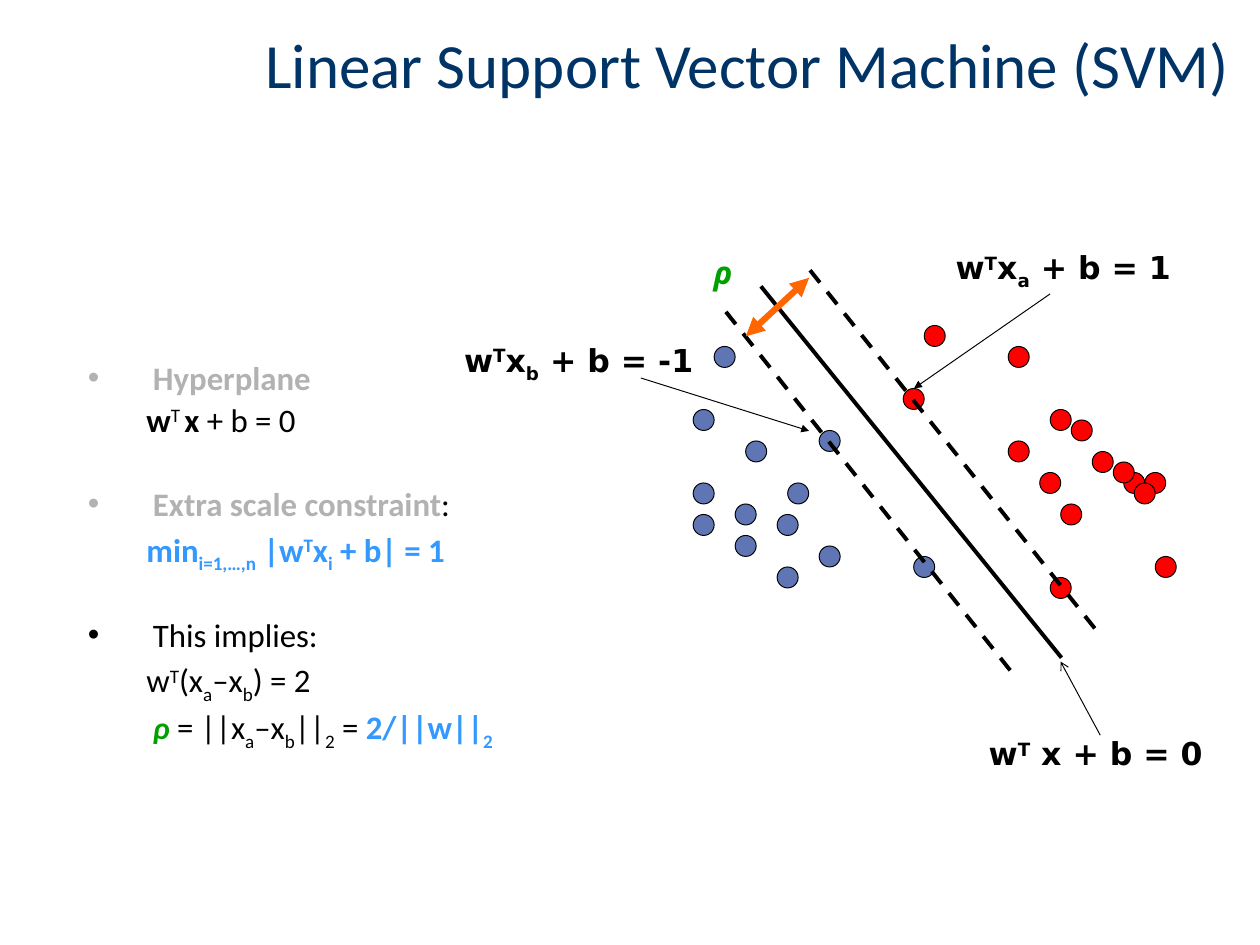
from pptx import Presentation
from pptx.dml.color import RGBColor
from pptx.enum import dml, shapes, text
from pptx.oxml.ns import qn
from pptx.util import Inches, Pt
from lxml import etree

NAVY = RGBColor(0x00, 0x33, 0x66)
GRAY = RGBColor(0xB2, 0xB2, 0xB2)
SKY = RGBColor(0x33, 0x99, 0xFF)
GREEN = RGBColor(0x00, 0xA0, 0x00)
BLUE = RGBColor(0x60, 0x76, 0xB4)
RED = RGBColor(0xFF, 0x00, 0x00)
ORANGE = RGBColor(0xFF, 0x66, 0x00)
BLACK = RGBColor(0, 0, 0)

# Font formats
HEAD = dict(name="Calibri", size=Pt(48), color=NAVY)
PLAIN = dict(name="Calibri", size=Pt(25), color=BLACK)
BOLD = dict(PLAIN, bold=True)
DIM = dict(BOLD, color=GRAY)
KEY = dict(BOLD, color=SKY)
RHO = dict(BOLD, size=Pt(24), italic=True, color=GREEN)
MATH = dict(name="DejaVu Sans", size=Pt(24), bold=True, color=BLACK)
MARK = dict(RHO, name="Noto Sans")

# Runs: a leading ^ raises the run, a leading _ lowers it
TITLE = "Linear Support Vector Machine (SVM)"
# Body lines: bullet, left indent, space before in points, groups of runs
BODY = [
    (True, 0.69, 0, [(DIM, ["Hyperplane"])]),
    (False, 0.62, 5, [(BOLD, ["w"]), (PLAIN, ["^T "]), (BOLD, ["x"]),
                      (PLAIN, [" + b = 0"])]),
    (True, 0.69, 37, [(DIM, ["Extra scale constraint"]), (PLAIN, [":"])]),
    (False, 0.62, 5, [(KEY, ["min", "_i=1,…,n", " |w", "^T", "x", "_i",
                             " + b| = 1"])]),
    (True, 0.69, 37, [(PLAIN, ["This implies:"])]),
    (False, 0.62, 5, [(PLAIN, ["w", "^T", "(x", "_a", "–x", "_b", ") = 2"])]),
    (False, 0.69, 5, [(RHO, ["ρ"]),
                      (PLAIN, [" = ||x", "_a", "–x", "_b", "||", "_2", " = "]),
                      (KEY, ["2/||w||", "_2"])]),
]
LABELS = [
    ((10.33, 7.78, 2.61, 0.47), MATH, ["w", "^T", " x + b = 0"]),
    ((9.98, 2.6, 2.65, 0.47), MATH, ["w", "^T", "x", "_a", " + b = 1"]),
    ((4.78, 3.58, 2.81, 0.47), MATH, ["w", "^T", "x", "_b", " + b = -1"]),
    ((7.42, 2.68, 0.68, 0.47), MARK, ["ρ"]),
]
# Data points, in grid steps
STEP = 1 / 9
DOTS = {
    BLUE: [(68, 33), (66, 46), (71, 42), (66, 49), (70, 51), (74, 49),
           (78, 52), (70, 48), (66, 39), (78, 41), (87, 53), (75, 46),
           (74, 54)],
    RED: [(88, 31), (96, 33), (100, 39), (86, 37), (104, 43), (107, 45),
          (101, 48), (109, 45), (110, 53), (100, 55), (96, 42), (102, 40),
          (99, 45), (106, 44), (108, 46)],
}
# Lines: from x, y, to x, y, colour, width, dashed, arrowheads
LINES = [
    (8.05, 3.03, 11.23, 6.96, BLACK, 3, False, {}),
    (7.68, 3.3, 10.74, 7.16, BLACK, 3, True, {}),
    (8.57, 2.86, 11.63, 6.71, BLACK, 3, True, {}),
    (11.11, 3.11, 9.67, 4.11, BLACK, 0.75, False, {"tailEnd": "triangle"}),
    (6.78, 4, 8.56, 4.56, BLACK, 0.75, False, {"tailEnd": "triangle"}),
    (7.89, 3.56, 8.56, 2.94, ORANGE, 4.75, False,
     {"headEnd": "triangle", "tailEnd": "triangle"}),
    (11.64, 7.78, 11.22, 7, BLACK, 0.75, False, {"tailEnd": "arrow"}),
]


def add_runs(para, style, parts):
    for part in parts:
        run = para.add_run()
        shift = {"^": "30000", "_": "-25000"}.get(part[0])
        run.text = part[1:] if shift else part
        for key, val in style.items():
            if key == "color":
                run.font.color.rgb = val
            else:
                setattr(run.font, key, val)
        if shift:
            run.font._element.set("baseline", shift)


def set_para(para, bullet, left):
    props = para._p.get_or_add_pPr()
    props.set("marL", str(Inches(left)))
    props.set("indent", str(-Inches(left) if bullet else 0))
    if bullet:
        etree.SubElement(props, qn("a:buFont")).set("typeface", "Arial")
        etree.SubElement(props, qn("a:buChar")).set("char", "•")


def add_line(slide, x1, y1, x2, y2, color, width, dashed, heads):
    line = slide.shapes.add_connector(
        shapes.MSO_CONNECTOR.STRAIGHT, *map(Inches, (x1, y1, x2, y2)))
    line.line.color.rgb = color
    line.line.width = Pt(width)
    if dashed:
        line.line.dash_style = dml.MSO_LINE.DASH
    for end, kind in heads.items():
        etree.SubElement(line.line._get_or_add_ln(),
                         qn("a:" + end)).set("type", kind)
    etree.SubElement(line._element.spPr, qn("a:effectLst"))


def main():
    prs = Presentation()
    prs.slide_width, prs.slide_height = Inches(13.33), Inches(10)
    slide = prs.slides.add_slide(prs.slide_layouts[5])

    # Title
    title = slide.shapes.title
    title.left, title.top, title.width, title.height = map(
        Inches, (0.84, 0.22, 12.27, 1.77))
    title.text_frame.vertical_anchor = text.MSO_ANCHOR.TOP
    para = title.text_frame.paragraphs[0]
    para.alignment = text.PP_ALIGN.RIGHT
    add_runs(para, HEAD, [TITLE])

    # Body
    frame = slide.shapes.add_textbox(
        *map(Inches, (0.83, 2.89, 10.28, 6.33))).text_frame
    frame.word_wrap = True
    frame.margin_top = Inches(0.94)
    for i, (bullet, left, gap, groups) in enumerate(BODY):
        para = frame.add_paragraph() if i else frame.paragraphs[0]
        para.line_spacing = 0.9
        para.space_before = Pt(gap)
        set_para(para, bullet, left)
        for style, parts in groups:
            add_runs(para, style, parts)

    # Data points
    for color, spots in DOTS.items():
        for col, row in spots:
            dot = slide.shapes.add_shape(
                shapes.MSO_SHAPE.OVAL,
                *(Inches(n * STEP) for n in (col, row, 2, 2)))
            dot.shadow.inherit = False
            dot.fill.solid()
            dot.fill.fore_color.rgb = color
            dot.line.color.rgb = BLACK
            dot.line.width = Pt(0.75)

    # Hyperplane, margins and pointers
    for line in LINES:
        add_line(slide, *line)

    # Labels
    for place, style, parts in LABELS:
        frame = slide.shapes.add_textbox(*map(Inches, place)).text_frame
        frame.word_wrap = False
        frame.auto_size = text.MSO_AUTO_SIZE.SHAPE_TO_FIT_TEXT
        frame.margin_left = frame.margin_right = Inches(0.13)
        frame.margin_top = frame.margin_bottom = Inches(0.07)
        frame.paragraphs[0].line_spacing = 0.8
        add_runs(frame.paragraphs[0], style, parts)

    prs.save("out.pptx")


if __name__ == "__main__":
    main()
